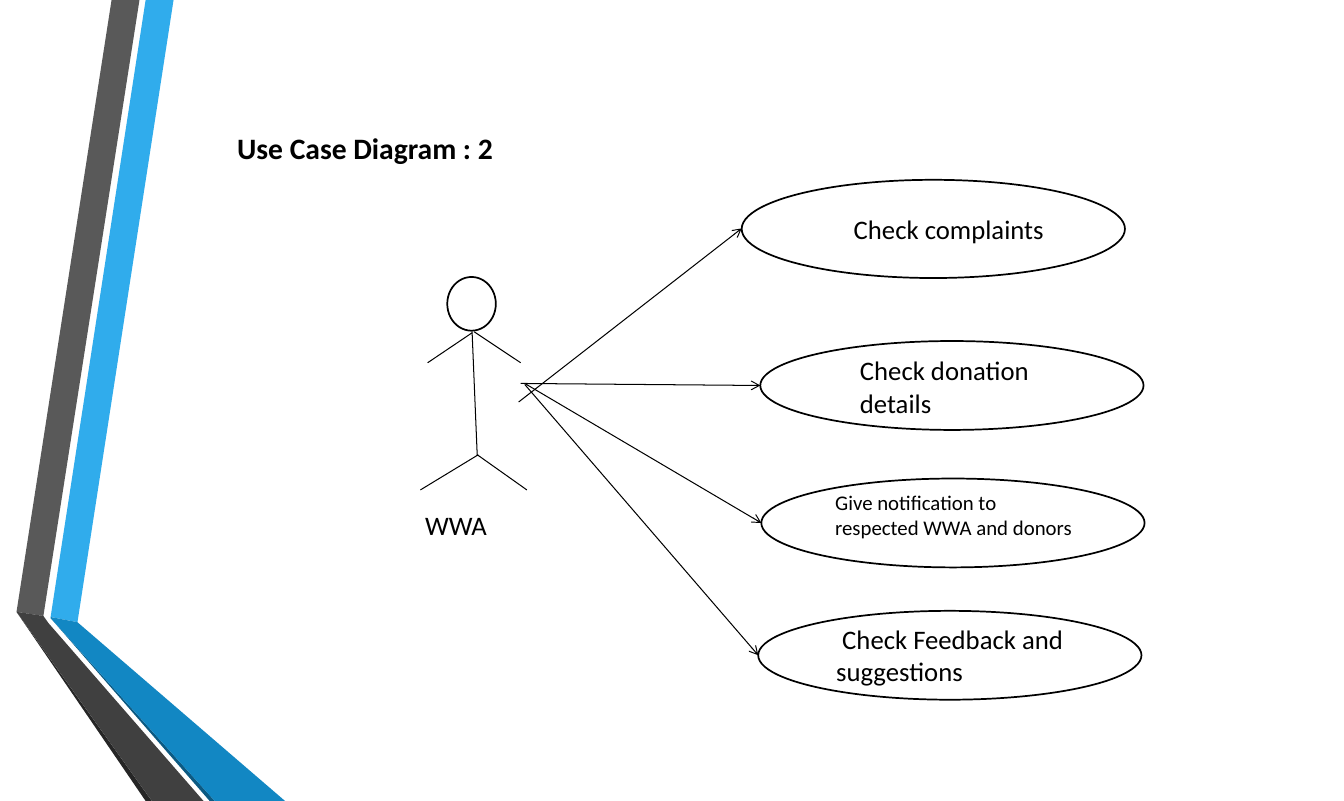
from pptx import Presentation
from pptx.dml.color import RGBColor
from pptx.enum.shapes import MSO_CONNECTOR as CONN, MSO_SHAPE as SHAPE
from pptx.enum.text import MSO_ANCHOR as ANCHOR, MSO_AUTO_SIZE as AUTO, PP_ALIGN as ALIGN
from pptx.oxml.ns import qn
from pptx.util import Pt
from lxml.etree import SubElement

PX = 9525
WIDTH, HEIGHT = 1301, 775
BLACK = "000000"
FONT = "Calibri"

STRIPES = [
    ("30ACEC", [(49, 597), (75, 602), (168, 0), (141, 0)]),
    ("595959", [(135, 0), (108, 0), (16, 592), (42, 596)]),
    ("262626", [(16, 592), (141, HEIGHT), (147, HEIGHT)]),
    ("0C5A82", [(49, 598), (203, HEIGHT), (208, HEIGHT)]),
    ("1287C3", [(49, 597), (49, 598), (208, HEIGHT), (276, HEIGHT), (75, 602)]),
    ("404040", [(197, HEIGHT), (47, 603), (42, 596), (16, 592), (147, HEIGHT)]),
]

USE_CASES = [
    ((718, 174, 371, 95), (502, 389), "Check complaints", (817, 201, 232, 41), 19.4),
    ((736, 330, 371, 86), (504, 371), "Check donation details", (823, 338, 232, 72), 19.4),
    ((737, 463, 371, 86), (508, 371), "Give notification to respected WWA and donors",
     (799, 469, 256, 59), 15.1),
    ((734, 591, 371, 86), (508, 372), " Check Feedback and suggestions",
     (800, 598, 240, 72), 19.4),
]

ACTOR_HEAD = (433, 268, 47, 52)
ACTOR_LIMBS = [
    ((462, 441), (457, 321)),
    ((457, 322), (414, 351)),
    ((462, 440), (510, 474)),
    ((463, 440), (407, 474)),
    ((459, 321), (504, 351)),
]


def emu(*lengths):
    return [n * PX for n in lengths]


def rgb(color):
    return RGBColor.from_string(color)


def add_stripe(s, color, points):
    builder = s.shapes.build_freeform(*points[0], scale=PX)
    builder.add_line_segments(points[1:], close=True)
    sp = builder.convert_to_shape()
    sp.shadow.inherit = False
    sp.fill.solid()
    sp.fill.fore_color.rgb = rgb(color)
    sp.line.fill.background()


def add_oval(s, box):
    sp = s.shapes.add_shape(SHAPE.OVAL, *emu(*box))
    sp.shadow.inherit = False
    sp.fill.background()
    sp.line.color.rgb = rgb(BLACK)
    sp.line.width = Pt(1.25)


def add_line(s, start, end, arrow=False):
    cx = s.shapes.add_connector(CONN.STRAIGHT, *emu(*start, *end))
    cx.line.color.rgb = rgb(BLACK)
    cx.line.width = Pt(0.75)
    sp_pr = cx._element.spPr
    if arrow:
        SubElement(sp_pr.find(qn("a:ln")), qn("a:tailEnd"), type="arrow")
    SubElement(sp_pr, qn("a:effectLst"))


def write(sp, text, size, bold=False):
    tf = sp.text_frame
    tf.word_wrap = True
    tf.auto_size = AUTO.NONE
    tf.vertical_anchor = ANCHOR.TOP
    p = tf.paragraphs[0]
    p.text = text
    p.alignment = ALIGN.LEFT
    p.font.name = FONT
    p.font.size = Pt(size)
    p.font.bold = bold
    p.font.color.rgb = rgb(BLACK)


def add_title(s, text, box, size):
    sp = s.shapes.title
    sp.left, sp.top, sp.width, sp.height = emu(*box)
    write(sp, text, size, bold=True)


def add_label(s, text, box, size):
    write(s.shapes.add_textbox(*emu(*box)), text, size)


def add_use_case(s, oval, start, text, box, size):
    left, top, _, height = oval
    add_oval(s, oval)
    add_line(s, start, (left, top + height // 2), arrow=True)
    add_label(s, text, box, size)


def add_actor(s):
    add_oval(s, ACTOR_HEAD)
    for start, end in ACTOR_LIMBS:
        add_line(s, start, end)
    add_label(s, "WWA", (402, 488, 139, 41), 19.4)


def main():
    prs = Presentation()
    prs.slide_width, prs.slide_height = emu(WIDTH, HEIGHT)
    s = prs.slides.add_slide(prs.slide_layouts[5])
    for color, points in STRIPES:
        add_stripe(s, color, points)
    add_title(s, "Use Case Diagram : 2", (220, 121, 362, 44), 21.5)
    for use_case in USE_CASES:
        add_use_case(s, *use_case)
    add_actor(s)
    prs.save("out.pptx")


if __name__ == "__main__":
    main()
